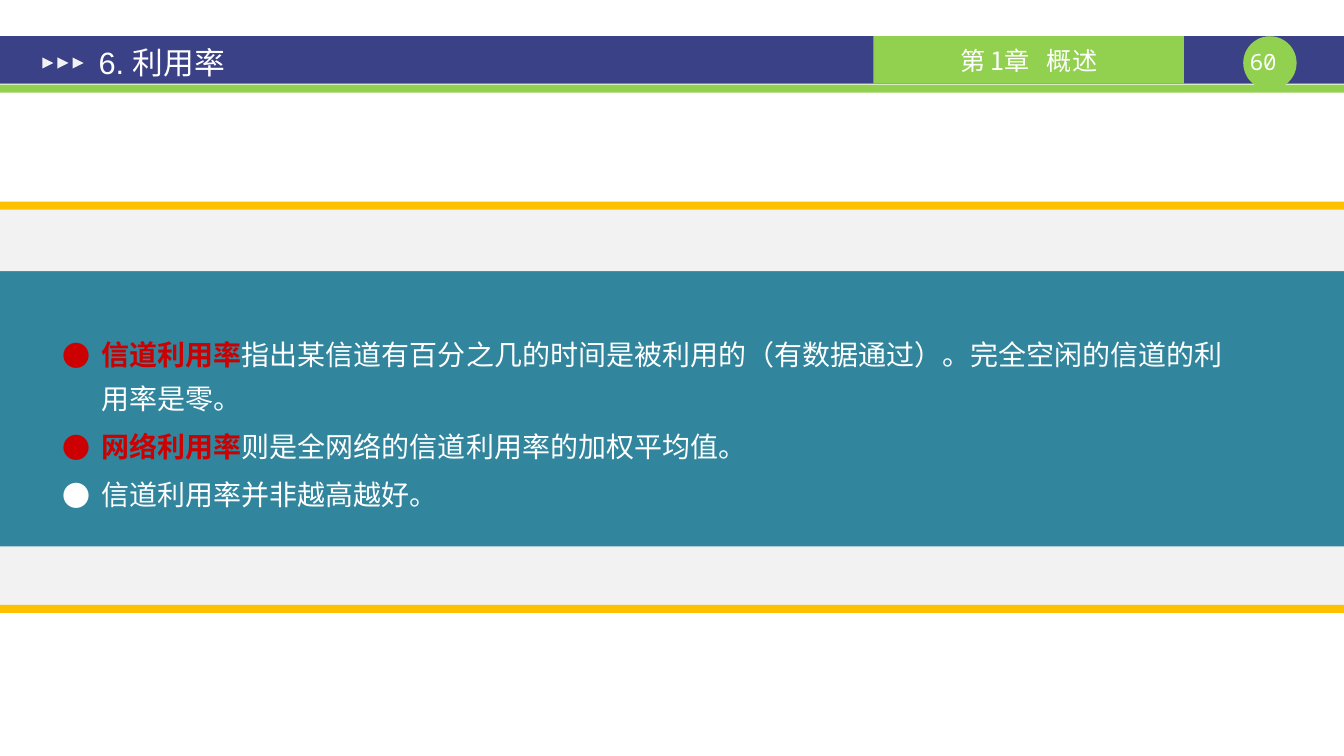
from dataclasses import dataclass
from lxml.etree import SubElement
from pptx import Presentation
from pptx.dml.color import RGBColor as RGB
from pptx.enum.shapes import MSO_SHAPE as Kind
from pptx.enum.text import MSO_ANCHOR as Anchor, PP_ALIGN as Align
from pptx.oxml.ns import qn
from pptx.util import Inches, Pt


@dataclass(frozen=True)
class Theme:
    navy: str = "3A4187"
    green: str = "92D050"
    teal: str = "31859C"
    gold: str = "FFC000"
    gray: str = "F2F2F2"
    white: str = "FFFFFF"
    red: str = "CC0000"
    sans: str = "Noto Sans CJK SC"
    mono: str = "Noto Sans Mono"
    latin: str = "Arial"
    title: int = 22
    body: int = 20
    label: int = 18
    page: int = 16


theme = Theme()
WIDTH = 13.34
deck = Presentation()
deck.slide_width, deck.slide_height = Inches(WIDTH), Inches(7.5)
shapes = deck.slides.add_slide(deck.slide_layouts[6]).shapes


def add_block(kind, left, top, width, height, color):
    block = shapes.add_shape(kind, Inches(left), Inches(top), Inches(width), Inches(height))
    block.shadow.inherit = False
    block.fill.solid()
    block.fill.fore_color.rgb = RGB.from_string(color)
    block.line.fill.background()
    return block


def add_run(para, text, size, face=theme.sans, color=theme.white, bold=False):
    """Add a run whose East Asian glyphs always use the sans face."""
    run = para.add_run()
    run.text = text
    font = run.font
    font.size, font.name, font.bold = Pt(size), face, bold
    font.color.rgb = RGB.from_string(color)
    SubElement(font._element, qn("a:ea")).set("typeface", theme.sans)
    return run


# Header
add_block(Kind.RECTANGLE, 0, 0.36, WIDTH, 0.47, theme.navy)
add_block(Kind.RECTANGLE, 0, 0.84, WIDTH, 0.08, theme.green)
add_block(Kind.OVAL, 12.34, 0.36, 0.53, 0.53, theme.green)

page = shapes.add_textbox(Inches(12.34), Inches(0.48), Inches(0.53), Inches(0.27)).text_frame
page.word_wrap = True
page.margin_left = page.margin_right = page.margin_top = page.margin_bottom = 0
page.paragraphs[0].alignment = Align.CENTER
add_run(page.paragraphs[0], "60 ", theme.page, theme.mono)

chapter = add_block(Kind.RECTANGLE, 8.67, 0.36, 3.08, 0.47, theme.green).text_frame
chapter.vertical_anchor = Anchor.MIDDLE
label = chapter.paragraphs[0]
label.alignment = Align.CENTER
add_run(label, "第 1章", theme.label)
gap = add_run(label, " ", theme.label)
gap.font._element.set("spc", "800")
add_run(label, "概述", theme.label)

for step in range(3):
    arrow = add_block(Kind.ISOSCELES_TRIANGLE, 0.42 + 0.15 * step, 0.57, 0.11, 0.11, theme.gray)
    arrow.rotation = 90

title = shapes.add_textbox(Inches(0.85), Inches(0.4), Inches(7.2), Inches(0.44)).text_frame
title.word_wrap = True
title.vertical_anchor = Anchor.MIDDLE
title.margin_left = title.margin_right = Inches(0.13)
title.margin_top = title.margin_bottom = Inches(0.07)
add_run(title.paragraphs[0], "6. 利用率", theme.title, theme.latin)

# Panel with a gray band and a gold rule at each end
add_block(Kind.RECTANGLE, 0, 2.08, WIDTH, 3.83, theme.teal)
for band, rule in ((2.07, 2), (5.42, 6)):
    add_block(Kind.RECTANGLE, 0, band, WIDTH, 0.62, theme.gray)
    add_block(Kind.RECTANGLE, 0, rule, WIDTH, 0.08, theme.gold)

# Bulleted points: red term, then the statement
points = (
    ("信道利用率", "指出某信道有百分之几的时间是被利用的（有数据通过）。完全空闲的信道的利用率是零。"),
    ("网络利用率", "则是全网络的信道利用率的加权平均值。"),
    ("", "信道利用率并非越高越好。"),
)
body = shapes.add_textbox(Inches(0.52), Inches(3.2), Inches(11.87), Inches(2.25)).text_frame
body.word_wrap = True
for index, (term, rest) in enumerate(points):
    para = body.add_paragraph() if index else body.paragraphs[0]
    props = para._p.get_or_add_pPr()
    props.set("marL", str(Inches(0.39)))
    props.set("indent", str(-Inches(0.39)))
    SubElement(props, qn("a:buFont")).set("typeface", theme.sans)
    SubElement(props, qn("a:buChar")).set("char", "●")
    para.line_spacing = 1.3
    para.space_before = Pt(3 if index else 0)
    if term:
        add_run(para, term, theme.body, color=theme.red, bold=True)
    add_run(para, rest, theme.body)

deck.save("out.pptx")
